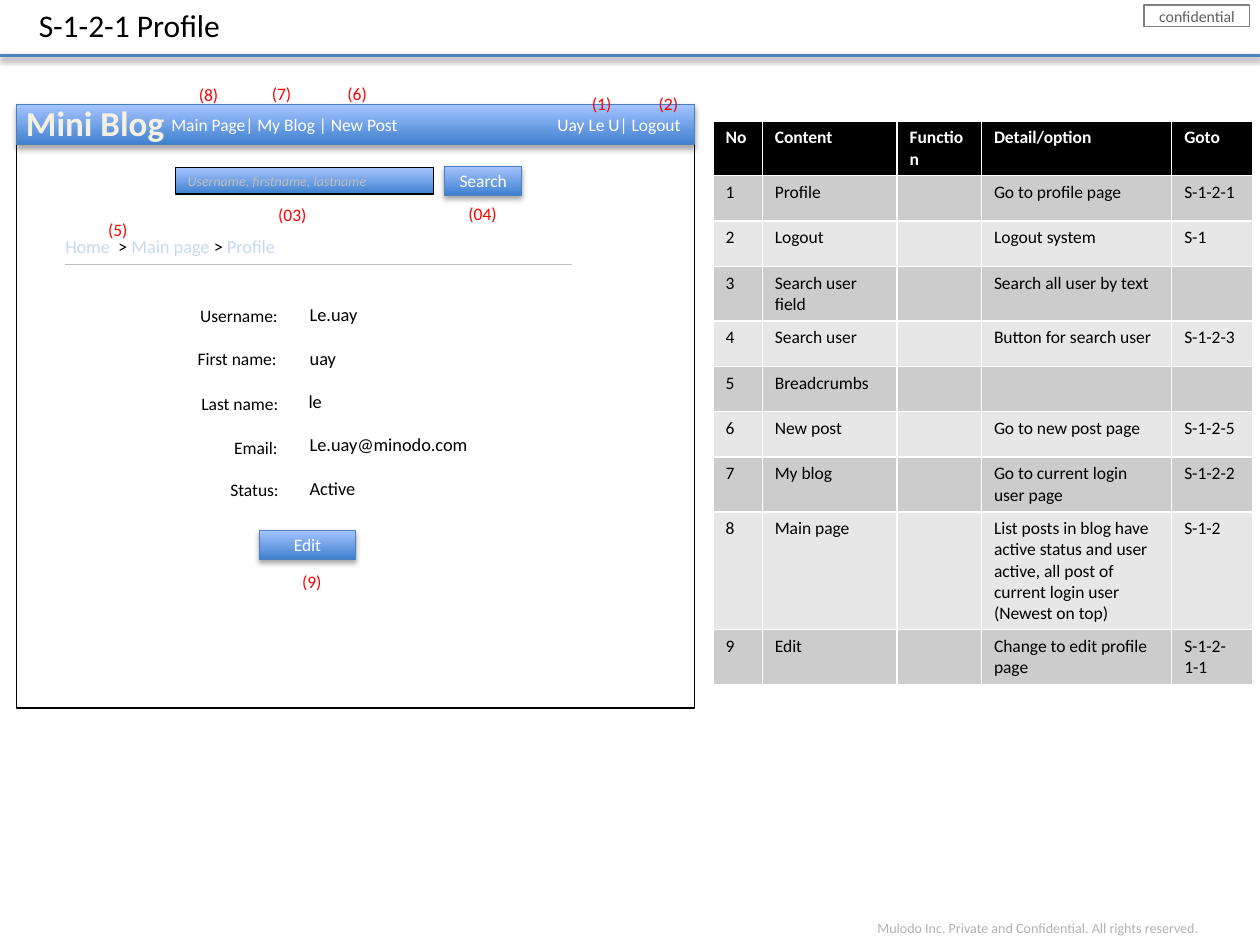
"""Build the S-1-2-1 Profile screen specification slide."""
import lxml.etree
import pptx
import pptx.dml.color
import pptx.enum.shapes
import pptx.enum.text
import pptx.oxml.ns
import pptx.util

Inches, Pt = pptx.util.Inches, pptx.util.Pt
RGBColor = pptx.dml.color.RGBColor
ALIGN = pptx.enum.text.PP_ALIGN
RECT = pptx.enum.shapes.MSO_SHAPE.RECTANGLE
qn = pptx.oxml.ns.qn

BLACK = RGBColor(0x00, 0x00, 0x00)
WHITE = RGBColor(0xFF, 0xFF, 0xFF)
RED = RGBColor(0xFF, 0x00, 0x00)
RULE_BLUE = RGBColor(0x4F, 0x81, 0xBD)
EDGE_BLUE = RGBColor(0x4B, 0x7E, 0xBC)
DEEP_BLUE = RGBColor(0x3F, 0x80, 0xCE)
PALE_BLUE = RGBColor(0xA4, 0xC4, 0xFF)
LINK_BLUE = RGBColor(0xC6, 0xD9, 0xF1)
OUTLINE_BLUE = RGBColor(0x05, 0x46, 0x97)
CREAM = RGBColor(0xF4, 0xF1, 0xE3)
BOX_GREY = RGBColor(0x80, 0x80, 0x80)
STAMP_GREY = RGBColor(0x5F, 0x5F, 0x5F)
FOOTER_GREY = RGBColor(0xB2, 0xB2, 0xB2)
LIGHT_GREY = RGBColor(0xBF, 0xBF, 0xBF)
BAND_DARK = RGBColor(0xCC, 0xCC, 0xCC)
BAND_LIGHT = RGBColor(0xE7, 0xE7, 0xE7)

MARKERS = [
    ("(5)", 0.76, 1.69), ("(8)", 1.48, 0.62), ("(7)", 2.06, 0.61),
    ("(6)", 2.66, 0.61), ("(03)", 2.11, 1.57), ("(1)", 4.6, 0.69),
    ("(2)", 5.13, 0.69), ("(04)", 3.62, 1.56), ("(9)", 2.3, 4.48),
]
FIELDS = [
    ("Username:", (1.49, 2.37, 0.83), "Le.uay", (2.36, 2.36, 0.59)),
    ("First name:", (1.47, 2.71, 0.84), "uay", (2.36, 2.71, 0.43)),
    ("Last name:", (1.5, 3.07, 0.82), "le", (2.35, 3.05, 0.31)),
    ("Email:", (1.76, 3.42, 0.55), "Le.uay@minodo.com", (2.36, 3.39, 1.48)),
    ("Status:", (1.73, 3.75, 0.59), "Active", (2.36, 3.74, 0.57)),
]
COLUMNS = [0.39, 1.07, 0.67, 1.51, 0.64]
ROWS = [
    ("No", "Content", "Function", "Detail/option", "Goto"),
    ("1", "Profile", "", "Go to profile page", "S-1-2-1"),
    ("2", "Logout", "", "Logout system", "S-1"),
    ("3", "Search user field", "", "Search all user by text", ""),
    ("4", "Search user", "", "Button for search user", "S-1-2-3"),
    ("5", "Breadcrumbs", "", "", ""),
    ("6", "New post", "", "Go to new post page", "S-1-2-5"),
    ("7", "My blog", "", "Go to current login user page", "S-1-2-2"),
    ("8", "Main page", "", "List posts in blog have active status and user active, "
     "all post of current login user (Newest on top)", "S-1-2"),
    ("9", "Edit", "", "Change to edit profile page", "S-1-2-1-1"),
]


def add_run(p, text, size, color, bold=False, italic=False):
    """Add one formatted run to a paragraph."""
    r = p.add_run()
    r.text = text
    r.font.name, r.font.size = "Calibri", Pt(size)
    r.font.bold, r.font.italic = bold, italic
    r.font.color.rgb = color
    return r


def add_text(s, box, runs, size, align=ALIGN.LEFT, bold=False):
    """Add an unwrapped text box of (text, colour) runs and return its paragraph."""
    tf = s.shapes.add_textbox(*map(Inches, box)).text_frame
    tf.word_wrap = False
    tf.auto_size = pptx.enum.text.MSO_AUTO_SIZE.SHAPE_TO_FIT_TEXT
    p = tf.paragraphs[0]
    p.alignment = align
    for text, color in runs:
        add_run(p, text, size, color, bold)
    return p


def add_shadow(sp, alpha, distance):
    """Give a shape or connector a soft black shadow below it."""
    spPr = sp._element.spPr
    effects = spPr.find(qn("a:effectLst"))
    if effects is None:
        effects = lxml.etree.SubElement(spPr, qn("a:effectLst"))
    shadow = lxml.etree.SubElement(
        effects, qn("a:outerShdw"), blurRad=str(Pt(3.1)), dist=str(Pt(distance)),
        dir="5400000", rotWithShape="0")
    color = lxml.etree.SubElement(shadow, qn("a:srgbClr"), val=str(BLACK))
    lxml.etree.SubElement(color, qn("a:alpha"), val=str(alpha * 1000))


def add_box(s, box, edge, gradient=False):
    """Add a rectangle filled with white or the blue gradient."""
    sp = s.shapes.add_shape(RECT, *map(Inches, box))
    sp.shadow.inherit = False
    if gradient:
        sp.fill.gradient()
        sp.fill.gradient_angle = 90
        for stop, color in zip(sp.fill.gradient_stops, (DEEP_BLUE, PALE_BLUE)):
            stop.color.rgb = color
    else:
        sp.fill.solid()
        sp.fill.fore_color.rgb = WHITE
    sp.line.color.rgb, sp.line.width = edge, Pt(0.75)
    sp.text_frame.vertical_anchor = pptx.enum.text.MSO_ANCHOR.MIDDLE
    return sp


def add_label(sp, text, size, color, align=ALIGN.CENTER, italic=False):
    """Write a single run inside a shape and return its paragraph."""
    p = sp.text_frame.paragraphs[0]
    p.alignment = align
    add_run(p, text, size, color, italic=italic)
    return p


def add_button(s, box, text):
    """Add a raised gradient button."""
    sp = add_box(s, box, EDGE_BLUE, gradient=True)
    add_shadow(sp, 35, 1.8)
    add_label(sp, text, 10, WHITE)


def add_rule(s, left, right, y, color, width):
    """Add a horizontal line."""
    sp = s.shapes.add_connector(pptx.enum.shapes.MSO_CONNECTOR.STRAIGHT,
                                Inches(left), Inches(y), Inches(right), Inches(y))
    sp.line.color.rgb, sp.line.width = color, Pt(width)
    lxml.etree.SubElement(sp._element.spPr, qn("a:effectLst"))
    return sp


def add_nav_bar(s):
    """Add the blog header bar with its links and title."""
    sp = add_box(s, (0.13, 0.83, 5.38, 0.32), EDGE_BLUE, gradient=True)
    add_shadow(sp, 35, 1.8)
    sp.text_frame.margin_left = Inches(1.23)
    pPr = sp.text_frame.paragraphs[0]._p.get_or_add_pPr()
    tabs = lxml.etree.SubElement(pPr, qn("a:tabLst"))
    lxml.etree.SubElement(tabs, qn("a:tab"), pos=str(Inches(4.04)), algn="r")
    add_label(sp, "Main Page| My Blog | New Post\tUay Le U| Logout", 10, WHITE, ALIGN.LEFT)
    p = add_text(s, (0.1, 0.76, 1.31, 0.44), [("Mini Blog", CREAM)], 20, ALIGN.CENTER, True)
    rPr = p.runs[0]._r.get_or_add_rPr()
    ln = lxml.etree.Element(qn("a:ln"), w=str(Pt(1)))
    fill = lxml.etree.SubElement(ln, qn("a:solidFill"))
    lxml.etree.SubElement(fill, qn("a:srgbClr"), val=str(OUTLINE_BLUE))
    rPr.insert(0, ln)


def add_spec_table(s):
    """Add the table describing each numbered element."""
    table = s.shapes.add_table(len(ROWS), len(COLUMNS), Inches(5.66), Inches(0.96),
                               Inches(sum(COLUMNS)), Inches(0.36 * len(ROWS))).table
    for column, width in zip(table.columns, COLUMNS):
        column.width = Inches(width)
    for i, row in enumerate(ROWS):
        band = BLACK if i == 0 else BAND_DARK if i % 2 else BAND_LIGHT
        for j, text in enumerate(row):
            cell = table.cell(i, j)
            cell.fill.solid()
            cell.fill.fore_color.rgb = band
            p = cell.text_frame.paragraphs[0]
            if text:
                add_run(p, text, 10, BLACK if i else WHITE, bold=i == 0)
            else:
                lxml.etree.SubElement(p._p, qn("a:endParaRPr"), sz="1000")


def main():
    """Build and save the slide."""
    prs = pptx.Presentation()
    prs.slide_width, prs.slide_height = Inches(10), Inches(7.5)
    s = prs.slides.add_slide(prs.slide_layouts[6])

    stamp = add_box(s, (9.08, 0.04, 0.84, 0.17), BOX_GREY)
    stamp.text_frame.word_wrap = False
    add_label(stamp, "confidential", 9, STAMP_GREY)
    footer = "Mulodo Inc. Private and Confidential. All rights reserved."
    add_text(s, (6.86, 7.25, 2.76, 0.24), [(footer, FOOTER_GREY)], 8, ALIGN.CENTER)
    add_shadow(add_rule(s, 0, 10, 0.44, RULE_BLUE, 2), 38, 1.6)
    add_text(s, (0.21, 0, 1.66, 0.4), [("S-1-2-1 Profile", BLACK)], 18)

    add_box(s, (0.13, 0.83, 5.38, 4.79), BLACK)
    search = add_box(s, (1.39, 1.33, 2.05, 0.21), BLACK, gradient=True)
    add_label(search, "Username, firstname, lastname", 8, LIGHT_GREY, ALIGN.LEFT, True)
    add_button(s, (3.53, 1.32, 0.61, 0.23), "Search")
    add_rule(s, 0.52, 4.54, 2.1, LIGHT_GREY, 0.25)
    add_text(s, (0.42, 1.82, 1.9, 0.28),
             [("Home ", LINK_BLUE), (" > ", BLACK), ("Main page ", LINK_BLUE),
              ("> ", BLACK), ("Profile", LINK_BLUE)], 10.5)
    add_spec_table(s)
    add_nav_bar(s)
    add_button(s, (2.06, 4.21, 0.76, 0.23), "Edit")
    for text, left, top in MARKERS:
        add_text(s, (left, top, 0.36 if len(text) == 3 else 0.43, 0.27), [(text, RED)], 10)
    for label, label_box, value, value_box in FIELDS:
        add_text(s, (*label_box, 0.27), [(label, BLACK)], 10)
        add_text(s, (*value_box, 0.28), [(value, BLACK)], 10.5)
    prs.save("out.pptx")


if __name__ == "__main__":
    main()
